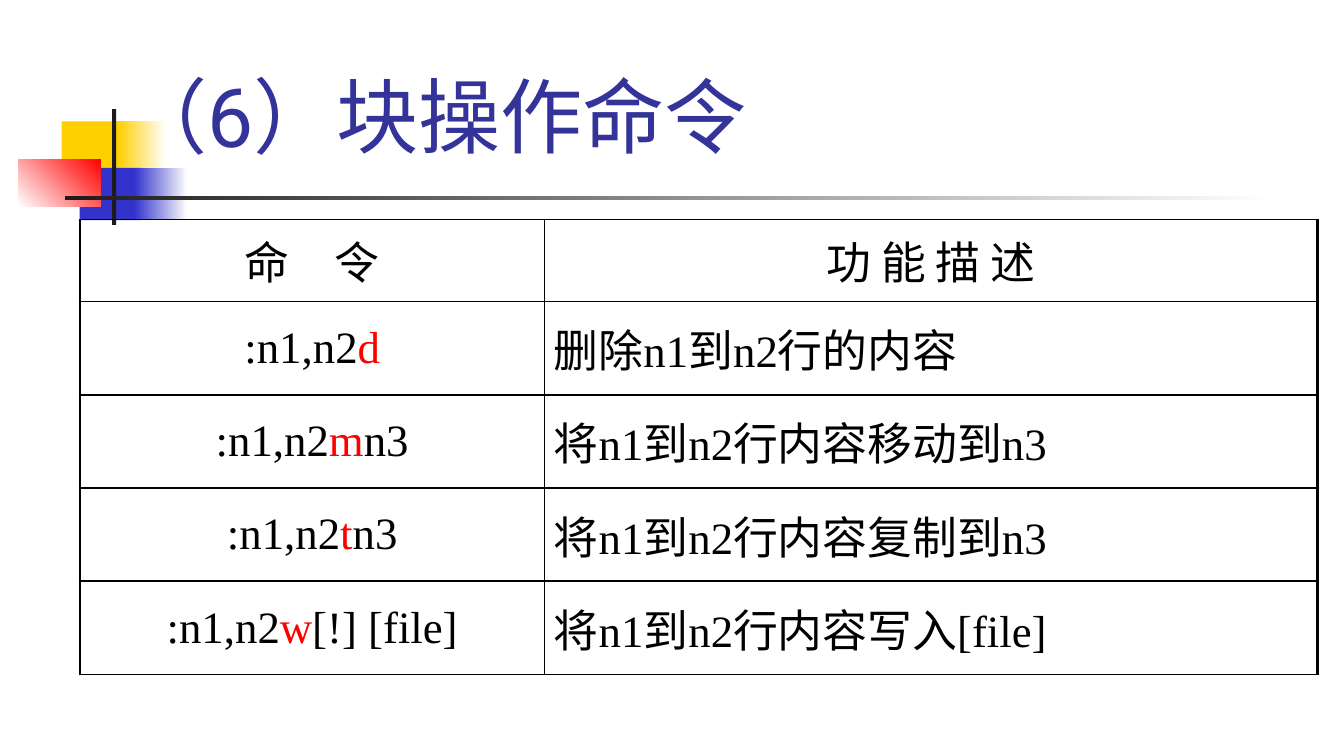
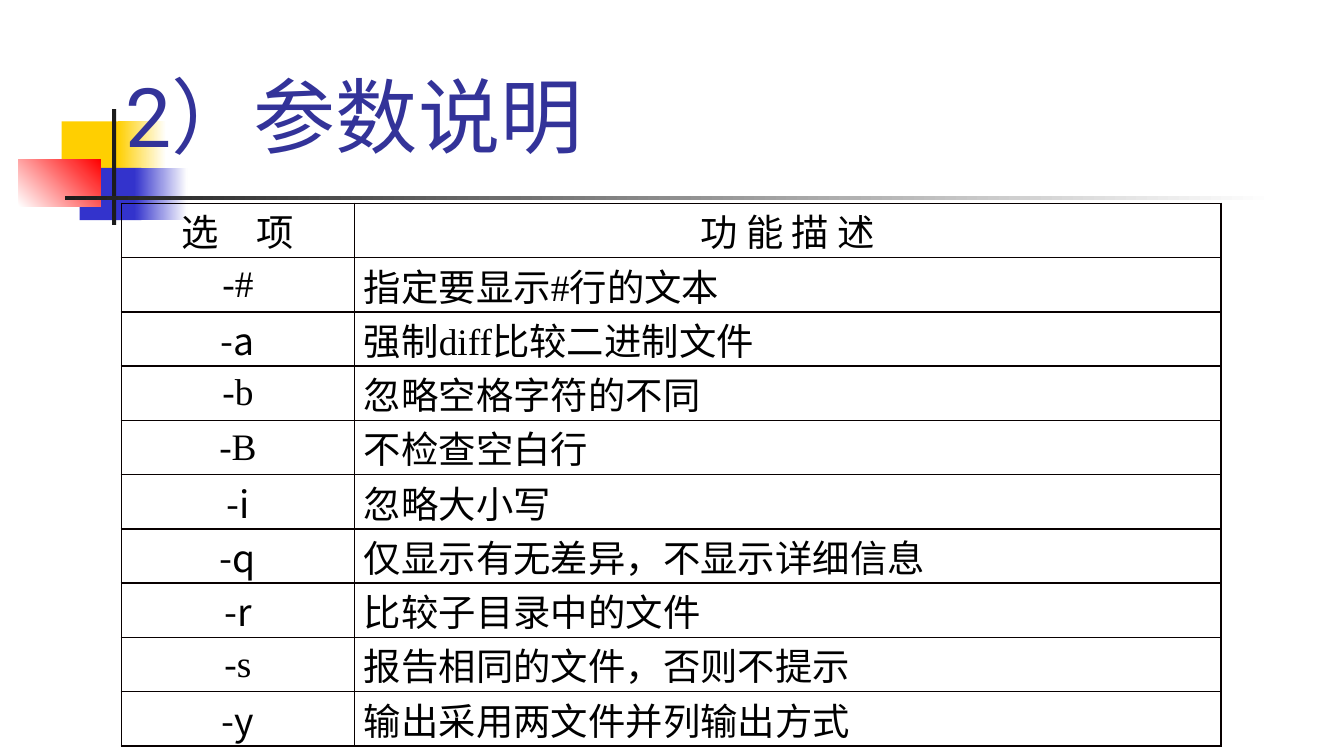
from lxml import etree
from pptx import Presentation
from pptx import util as u
from pptx.dml.color import RGBColor
from pptx.enum import shapes, text
from pptx.oxml.ns import qn

COLORS = {
    "title": "333399", "ink": "000000", "accent": "FF0000", "grid": "080000",
    "yellow": "FFCF01", "blue": "3333CC", "red": "FF0000",
    "dark": "1C1C1C", "white": "FFFFFF",
}
SANS, SERIF, TITLE_FONT = "Noto Sans CJK SC", "Times New Roman", "Roboto"
TITLE_BOX = (60, 24, 642, 67.5)

# left, top, width, height, colour, end colour, gradient angle
ORNAMENT = [
    (33, 65, 34.5, 28, "yellow", None, 0),
    (63, 65, 26, 28, "yellow", "white", 0),
    (42.75, 90, 33, 28, "blue", None, 0),
    (72, 90, 28.5, 28, "blue", "white", 0),
    (10, 85.5, 44, 25, "white", "red", 45),
    (60, 58.5, 2.25, 62, "dark", None, 0),
    (34.75, 105, 648, 2.25, "dark", "white", 0),
]

# In table cells, the text between bars takes the table's "marked" style.
SLIDES = [
    {
        "title": "（6）块操作命令",
        "at": (42.75, 117.5), "columns": (249, 414), "heights": (44, 50),
        "size": 24, "plain": (SERIF, "ink"), "marked": (SERIF, "accent"),
        "border": "ink", "right_border": 1.5,
        "rows": [
            ("命　令", "功 能 描 述"),
            (":n1,n2|d|", "删除n1到n2行的内容"),
            (":n1,n2|m|n3", "将n1到n2行内容移动到n3"),
            (":n1,n2|t|n3", "将n1到n2行内容复制到n3"),
            (":n1,n2|w|[!] [file]", "将n1到n2行内容写入[file]"),
        ],
    },
    {
        "title": "2）参数说明",
        "at": (65, 109), "columns": (125, 464), "heights": (25, 25),
        "size": 20, "plain": (SANS, "ink"), "marked": (SERIF, "ink"),
        "border": "grid", "right_border": 1,
        "rows": [
            ("选　项", "功 能 描 述"),
            ("|-#|", "指定要显示|#|行的文本"),
            ("-a", "强制|diff|比较二进制文件"),
            ("|-b|", "忽略空格字符的不同"),
            ("|-B|", "不检查空白行"),
            ("-i", "忽略大小写"),
            ("-q", "仅显示有无差异，不显示详细信息"),
            ("-r", "比较子目录中的文件"),
            ("|-s|", "报告相同的文件，否则不提示"),
            ("-y", "输出采用两文件并列输出方式"),
        ],
    },
]


def rgb(name):
    return RGBColor.from_string(COLORS[name])


def points(values):
    return [u.Pt(value) for value in values]


def style_run(span, font, size, color):
    span.font.name = font
    span.font.size = u.Pt(size)
    span.font.color.rgb = rgb(color)
    east_asian = etree.SubElement(span.font.element if hasattr(span.font, "element")
                                  else span._r.get_or_add_rPr(), qn("a:ea"))
    east_asian.set("typeface", SANS)


def add_ornament(page):
    """Draw the ornament and move it to the layout that all pages share."""
    tree = page.slide_layout.shapes.element
    for index, (*place, color, end_color, angle) in enumerate(ORNAMENT):
        block = page.shapes.add_shape(shapes.MSO_SHAPE.RECTANGLE, *points(place))
        block.shadow.inherit = False
        block.line.fill.background()
        if end_color:
            block.fill.gradient()
            block.fill.gradient_angle = angle
            for stop, name in zip(block.fill.gradient_stops, (color, end_color)):
                stop.color.rgb = rgb(name)
        else:
            block.fill.solid()
            block.fill.fore_color.rgb = rgb(color)
        tree.insert(2 + index, block.element)


def set_title(page, wording):
    title = page.shapes.title
    title.left, title.top, title.width, title.height = points(TITLE_BOX)
    frame = title.text_frame
    frame.text = wording
    frame.word_wrap = True
    frame.auto_size = text.MSO_AUTO_SIZE.NONE
    frame.vertical_anchor = text.MSO_ANCHOR.BOTTOM
    para = frame.paragraphs[0]
    para.alignment = text.PP_ALIGN.LEFT
    style_run(para.runs[0], TITLE_FONT, 44, "title")


def set_borders(cell, color, widths):
    properties = cell._tc.get_or_add_tcPr()
    for side, width in zip("LRTB", widths):
        line = etree.SubElement(properties, qn(f"a:ln{side}"), w=str(u.Pt(width)))
        fill = etree.SubElement(line, qn("a:solidFill"))
        etree.SubElement(fill, qn("a:srgbClr"), val=COLORS[color])


def fill_cell(cell, wording, content, centred):
    cell.margin_left = cell.margin_right = u.Pt(5)
    cell.margin_top = cell.margin_bottom = 0
    cell.vertical_anchor = text.MSO_ANCHOR.MIDDLE
    para = cell.text_frame.paragraphs[0]
    para.alignment = text.PP_ALIGN.CENTER if centred else text.PP_ALIGN.LEFT
    for index, part in enumerate(wording.split("|")):
        if part:
            font, color = content["marked" if index % 2 else "plain"]
            span = para.add_run()
            span.text = part
            style_run(span, font, content["size"], color)


def add_command_table(page, content):
    rows, columns = content["rows"], content["columns"]
    header, body = content["heights"]
    heights = [header] + [body] * (len(rows) - 1)
    place = points((*content["at"], sum(columns), sum(heights)))
    table = page.shapes.add_table(len(rows), len(columns), *place).table
    table.first_row = table.horz_banding = False
    for column, width in zip(table.columns, columns):
        column.width = u.Pt(width)
    for r, (row, height) in enumerate(zip(rows, heights)):
        table.rows[r].height = u.Pt(height)
        for c, wording in enumerate(row):
            cell = table.cell(r, c)
            right = content["right_border"] if c == len(row) - 1 else 1
            set_borders(cell, content["border"], (1, right, 1, 1))
            cell.fill.background()
            fill_cell(cell, wording, content, centred=r == 0 or c == 0)


def main():
    deck = Presentation()
    deck.slide_width, deck.slide_height = points((720, 405))
    layout = deck.slide_layouts[5]
    for number, content in enumerate(SLIDES):
        page = deck.slides.add_slide(layout)
        if number == 0:
            add_ornament(page)
        set_title(page, content["title"])
        add_command_table(page, content)
    deck.save("out.pptx")


if __name__ == "__main__":
    main()
